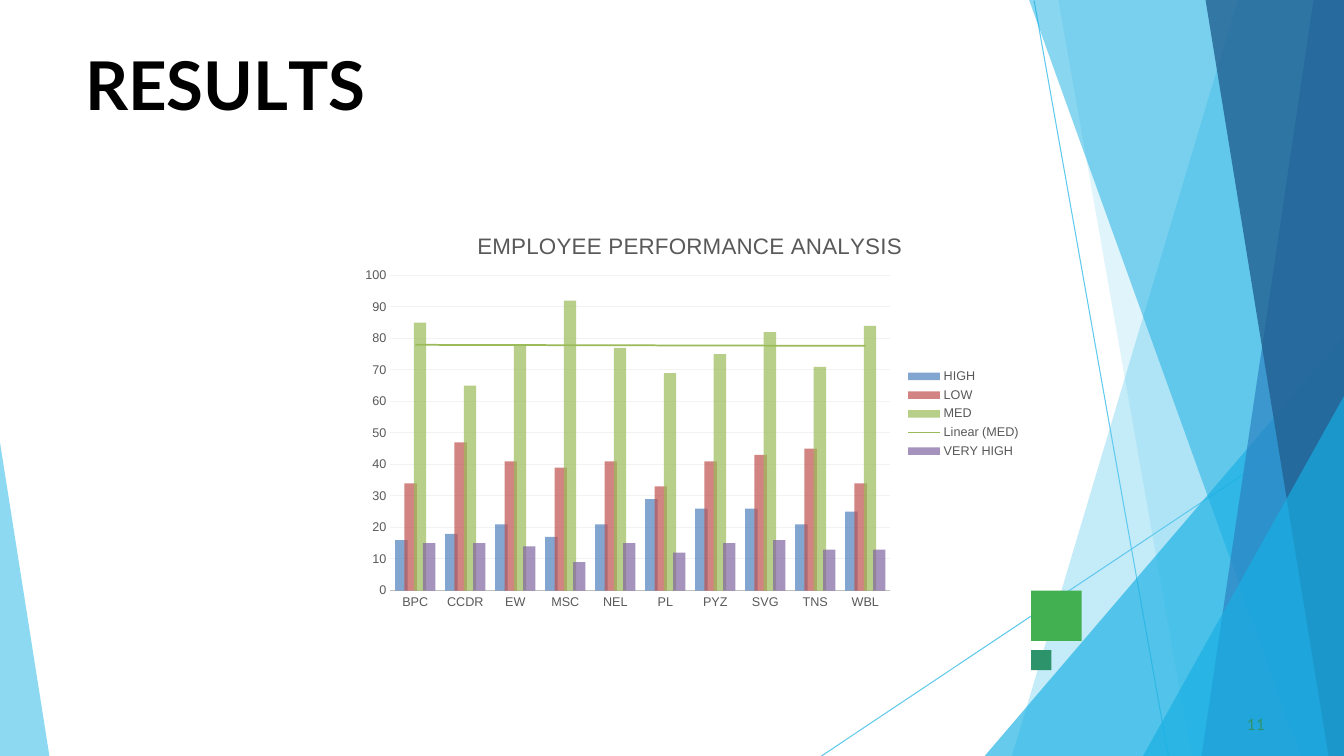
from dataclasses import dataclass

from lxml import etree
from pptx import Presentation
from pptx.chart.data import CategoryChartData
from pptx.dml.color import RGBColor
from pptx.enum.chart import XL_CHART_TYPE, XL_LEGEND_POSITION, XL_TICK_MARK
from pptx.enum.shapes import MSO_CONNECTOR, MSO_SHAPE
from pptx.enum.text import MSO_AUTO_SIZE
from pptx.oxml import parse_xml
from pptx.oxml.ns import nsdecls, qn
from pptx.util import Pt

COLUMNS = XL_CHART_TYPE.COLUMN_CLUSTERED
LEGEND_RIGHT = XL_LEGEND_POSITION.RIGHT
NO_TICKS = XL_TICK_MARK.NONE
STRAIGHT = MSO_CONNECTOR.STRAIGHT
RECTANGLE = MSO_SHAPE.RECTANGLE
GROW = MSO_AUTO_SIZE.SHAPE_TO_FIT_TEXT

WIDTH, HEIGHT = 960, 540
SKY, CYAN, GREY = "5FCAEE", "17AFE3", "595959"


@dataclass
class Facet:
    points: list[tuple[float, float]]
    colour: str
    opacity: int


@dataclass
class Series:
    name: str
    values: tuple[int, ...]
    colour: str
    trend: bool = False


def right_facet(top_left: float, bottom_left: float, colour: str, opacity: int, top: float = 0) -> Facet:
    """A facet that runs to the right and bottom edges of the slide."""
    corners = [(WIDTH, top), (top_left, top), (bottom_left, HEIGHT), (WIDTH, HEIGHT)]
    return Facet(list(dict.fromkeys(corners)), colour, opacity)


THIN_LINES = [(738.7, 0.5, 834.5, HEIGHT), (WIDTH, 290.9, 586.8, HEIGHT)]
FACETS = [
    right_facet(884.2, 722.9, SKY, 37),
    right_facet(756, 851, SKY, 20),
    right_facet(WIDTH, 703.4, CYAN, 66, top=239.8),
    right_facet(735.1, 929.5, CYAN, 51),
    right_facet(938.2, 858.2, "2D83C3", 71),
    right_facet(861.1, 949, "226192", 80),
    right_facet(WIDTH, 816.5, CYAN, 66, top=283),
    Facet([(0, 316.1), (0, HEIGHT), (35.3, HEIGHT)], SKY, 71),
]
SQUARES = [(736.6, 421.9, 36, "42AF51"), (736.6, 464.4, 14.4, "2D936B")]

TITLE_RUNS = [("R", 0), ("E", -0.4), ("S", 0.1), ("U", -0.3), ("L", -4.1), ("TS", 0)]

CATEGORIES = ["BPC", "CCDR", "EW", "MSC", "NEL", "PL", "PYZ", "SVG", "TNS", "WBL"]
SERIES = [
    Series("HIGH", (16, 18, 21, 17, 21, 29, 26, 26, 21, 25), "4F81BD"),
    Series("LOW", (34, 47, 41, 39, 41, 33, 41, 43, 45, 34), "C0504D"),
    Series("MED", (85, 65, 78, 92, 77, 69, 75, 82, 71, 84), "9BBB59", trend=True),
    Series("VERY HIGH", (15, 15, 14, 9, 15, 12, 15, 16, 13, 13), "8064A2"),
]


def rgb(colour: str) -> RGBColor:
    return RGBColor.from_string(colour)


def paint(fill, element, colour: str, opacity: int = 100) -> None:
    fill.solid()
    fill.fore_color.rgb = rgb(colour)
    if opacity < 100:
        for node in element.iter(qn("a:srgbClr")):
            etree.SubElement(node, qn("a:alpha")).set("val", str(opacity * 1000))


def set_font(font, size: float, colour: str, name: str = "Arial", bold: bool = False) -> None:
    font.size, font.name, font.bold = Pt(size), name, bold
    font.color.rgb = rgb(colour)


def set_line(line, colour: str, width: float) -> None:
    line.color.rgb = rgb(colour)
    line.width = Pt(width)


def set_spacing(run, spacing: float) -> None:
    run.font.element.set("spc", str(round(spacing * 100))) if hasattr(run.font, "element") else \
        run._r.get_or_add_rPr().set("spc", str(round(spacing * 100)))


def add_thin_line(slide, x1: float, y1: float, x2: float, y2: float) -> None:
    connector = slide.shapes.add_connector(STRAIGHT, Pt(x1), Pt(y1), Pt(x2), Pt(y2))
    set_line(connector.line, SKY, 0.75)
    etree.SubElement(connector.element.spPr, qn("a:effectLst"))


def finish_shape(shape, colour: str, opacity: int = 100) -> None:
    paint(shape.fill, shape.element, colour, opacity)
    shape.line.fill.background()
    shape.shadow.inherit = False


def add_facet(slide, facet: Facet) -> None:
    start, *others = [(Pt(x), Pt(y)) for x, y in facet.points]
    builder = slide.shapes.build_freeform(*start)
    builder.add_line_segments(others)
    finish_shape(builder.convert_to_shape(), facet.colour, facet.opacity)


def add_square(slide, left: float, top: float, side: float, colour: str) -> None:
    finish_shape(slide.shapes.add_shape(RECTANGLE, Pt(left), Pt(top), Pt(side), Pt(side)), colour)


def add_text(slide, runs: list[tuple[str, float]], *, left: float, top: float, width: float,
             height: float, size: float, colour: str, bold: bool = False,
             indent: float = 0, space_before: float = 0) -> None:
    """Add one line of text; each run is its wording and letter spacing."""
    box = slide.shapes.add_textbox(Pt(left), Pt(top), Pt(width), Pt(height))
    frame = box.text_frame
    frame.word_wrap, frame.auto_size = True, GROW
    frame.margin_left, frame.margin_top = Pt(indent), Pt(0.9)
    frame.margin_right = frame.margin_bottom = 0
    paragraph = frame.paragraphs[0]
    paragraph.space_before = Pt(space_before)
    for text, spacing in runs:
        run = paragraph.add_run()
        run.text = text
        set_font(run.font, size, colour, "Lato", bold)
        set_spacing(run, spacing)


def place(parent, before: str, x: float, y: float, size: str = "", inner: str = "") -> None:
    """Give a chart part a fixed place, as fractions of the chart."""
    for old in parent.findall(qn("c:layout")):
        parent.remove(old)
    layout = parse_xml(
        f'<c:layout {nsdecls("c")}><c:manualLayout>{inner}<c:xMode val="edge"/><c:yMode val="edge"/>'
        f'<c:x val="{x}"/><c:y val="{y}"/>{size}</c:manualLayout></c:layout>')
    parent.find(qn(before)).addprevious(layout)


def add_trend(series_element, colour: str) -> None:
    trend = parse_xml(
        f'<c:trendline {nsdecls("c", "a")}><c:spPr><a:ln w="{Pt(1.25)}"><a:solidFill>'
        f'<a:srgbClr val="{colour}"/></a:solidFill></a:ln></c:spPr>'
        '<c:trendlineType val="linear"/><c:dispRSqr val="0"/><c:dispEq val="0"/></c:trendline>')
    series_element.find(qn("c:cat")).addprevious(trend)


def add_performance_chart(slide) -> None:
    data = CategoryChartData()
    data.categories = CATEGORIES
    for series in SERIES:
        data.add_series(series.name, series.values)
    chart = slide.shapes.add_chart(COLUMNS, Pt(250.6), Pt(149.8), Pt(486), Pt(291.6), data).chart
    set_font(chart.font, 10, "000000")

    # Heading and legend
    paragraph = chart.chart_title.text_frame.paragraphs[0]
    run = paragraph.add_run()
    run.text = "EMPLOYEE PERFORMANCE ANALYSIS"
    set_font(run.font, 16, GREY)
    set_spacing(run, 0.3)
    chart.chart_title.include_in_layout = False
    place(chart.chart_title.element, "c:overlay", 0.18, 0.045)
    chart.has_legend = True
    chart.legend.position = LEGEND_RIGHT
    chart.legend.include_in_layout = False
    set_font(chart.legend.font, 9, GREY)

    # Axes
    for axis in (chart.category_axis, chart.value_axis):
        axis.major_tick_mark = axis.minor_tick_mark = NO_TICKS
        set_font(axis.tick_labels.font, 9, GREY)
    set_line(chart.category_axis.format.line, "BFBFBF", 1.25)
    values = chart.value_axis
    values.minimum_scale, values.maximum_scale, values.major_unit = 0, 100, 10
    values.format.line.fill.background()
    set_line(values.major_gridlines.format.line, "F2F2F2", 0.75)

    # Columns
    plot = chart.plots[0]
    plot.gap_width, plot.overlap, plot.vary_by_categories = 80, 25, False
    for column, series in zip(plot.series, SERIES):
        column.invert_if_negative = False
        paint(column.format.fill, column.format.element, series.colour, 70)
        if series.trend:
            add_trend(column.format.element, series.colour)
    place(chart.element.find(f".//{qn('c:plotArea')}"), "c:barChart", 0.058, 0.161,
          '<c:w val="0.735"/><c:h val="0.772"/>', '<c:layoutTarget val="inner"/>')


def main() -> None:
    presentation = Presentation()
    presentation.slide_width, presentation.slide_height = Pt(WIDTH), Pt(HEIGHT)
    slide = presentation.slides.add_slide(presentation.slide_layouts[6])
    # Background decoration
    for line in THIN_LINES:
        add_thin_line(slide, *line)
    for facet in FACETS:
        add_facet(slide, facet)
    for square in SQUARES:
        add_square(slide, *square)
    # Title, slide number and chart
    add_text(slide, TITLE_RUNS, left=59.8, top=30.2, width=223.9, height=58.3, size=48,
             colour="000000", bold=True, indent=0.9, space_before=1.1)
    add_text(slide, [("11", 0.1)], left=887.8, top=509.8, width=18, height=13.7, size=11,
             colour="2D936B", indent=2.9, space_before=0.5)
    add_performance_chart(slide)
    presentation.save("out.pptx")


if __name__ == "__main__":
    main()
